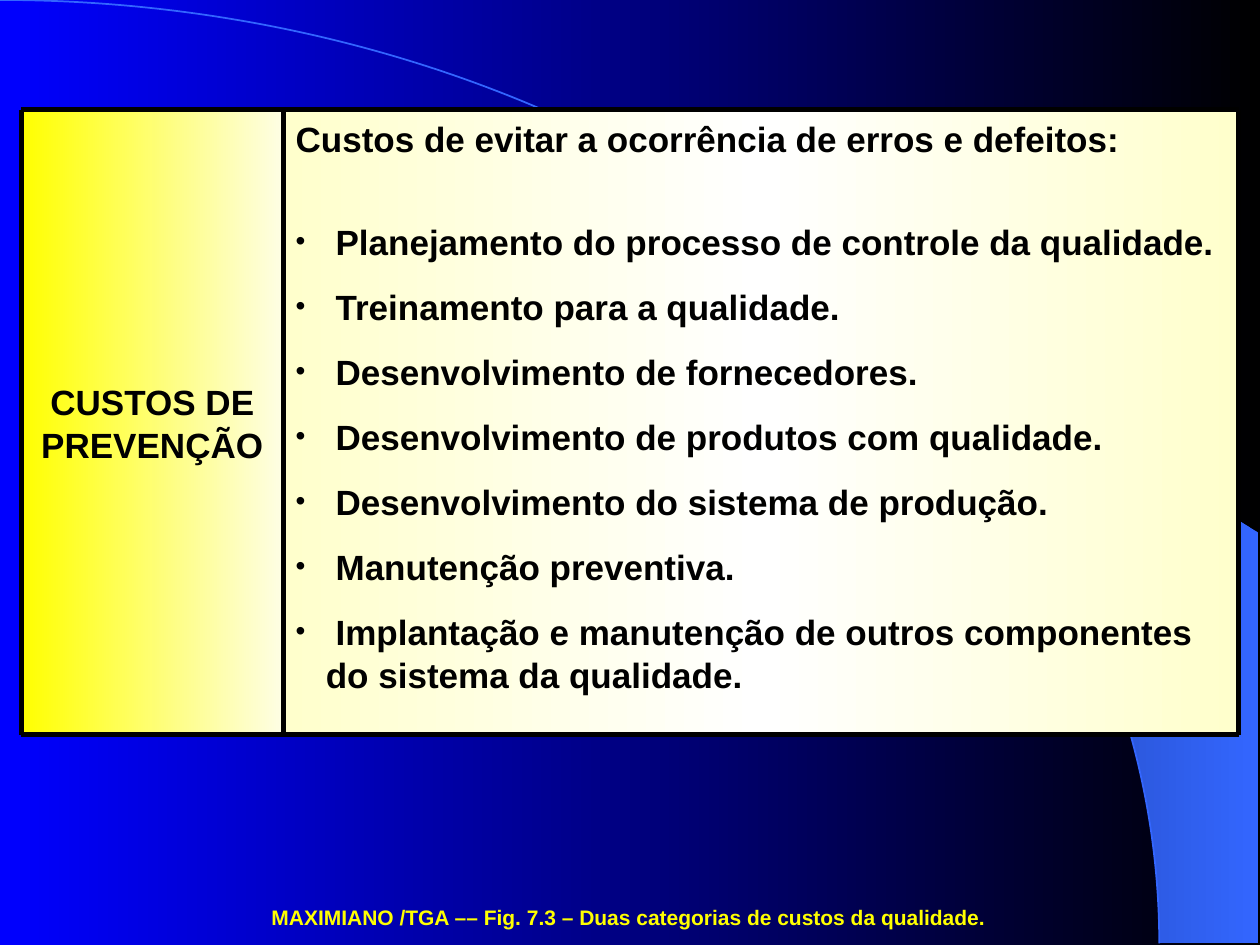
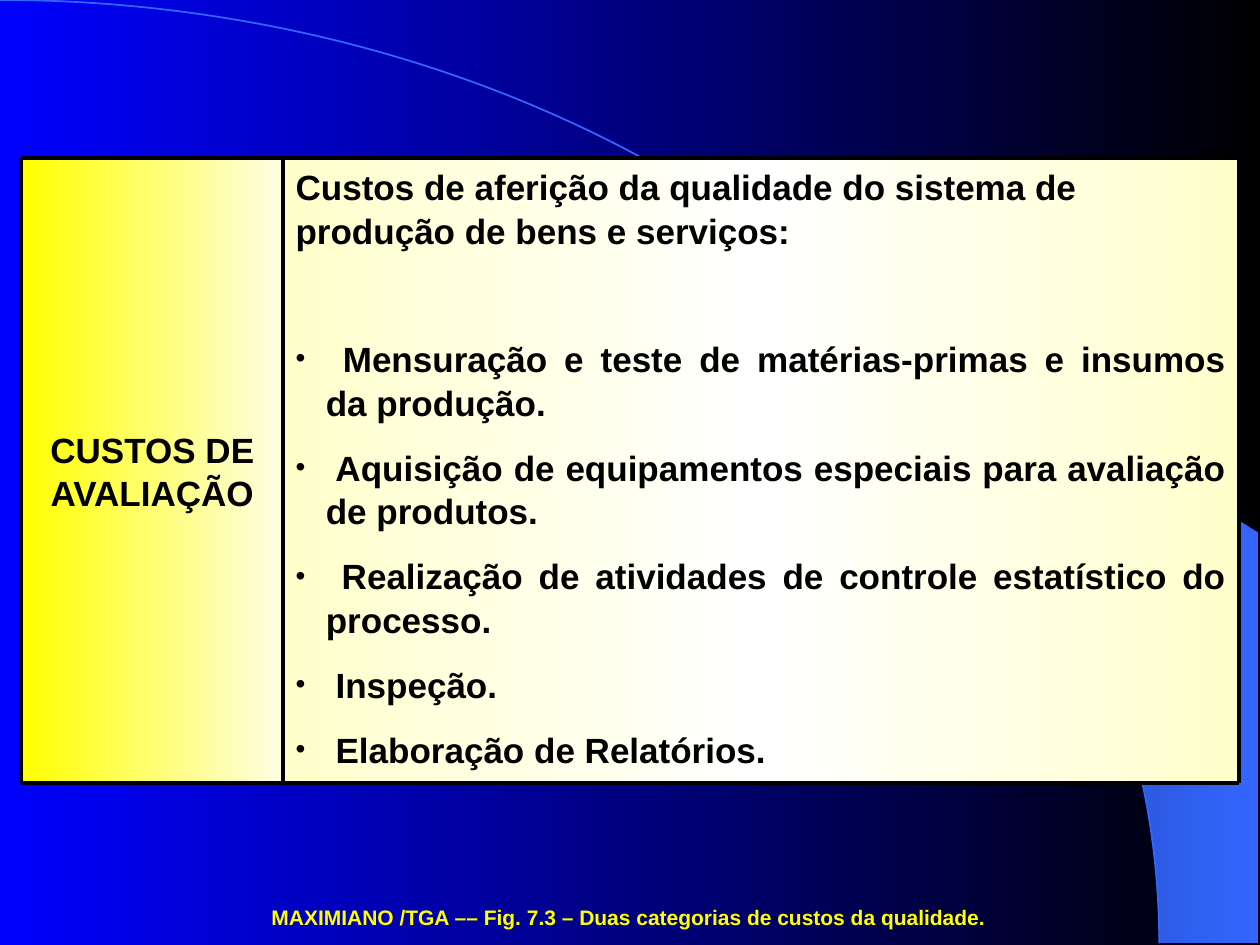
from copy import deepcopy
from math import asin, cos, pi, sin

from lxml.etree import SubElement as Sub
from pptx import Presentation
from pptx.dml.color import RGBColor
from pptx.enum.shapes import MSO_CONNECTOR as LINK, MSO_SHAPE as KIND
from pptx.enum.text import MSO_ANCHOR as ANCHOR, PP_ALIGN as ALIGN
from pptx.oxml.ns import qn
from pptx.util import Cm, Pt

WIDE, HIGH = 25.4, 19.05
LEFT, SPLIT, RIGHT, DEPTH = 0.43, 5.71, 24.97, 12.6
ARC_X, ARC_Y = 23.37, 19.02
BLACK, YELLOW, CREAM, BLUE = "000000", "FFFF00", "FFFFCC", "3366FF"
CAPTION = "MAXIMIANO /TGA –– Fig. 7.3 – Duas categorias de custos da qualidade."


def color(code):
    """Turn a hex string into a colour."""
    return RGBColor.from_string(code)


def blend(fill, *codes):
    """Fill with evenly spaced colours that run from right to left."""
    fill.gradient()
    fill.gradient_angle = 180
    first = fill.gradient_stops[0]._gs
    for _ in codes[2:]:
        first.addnext(deepcopy(first))
    for i, (stop, code) in enumerate(zip(fill.gradient_stops, codes)):
        stop.color.rgb = color(code)
        stop.position = i / (len(codes) - 1)


def bullet(para):
    """Give a paragraph a hanging black bullet."""
    props = para._p.get_or_add_pPr()
    props.set("marL", str(Cm(0.61)))
    props.set("indent", str(-Cm(0.61)))
    Sub(Sub(props, qn("a:buClr")), qn("a:srgbClr"), val=BLACK)
    Sub(props, qn("a:buSzPct"), val="80000")
    Sub(props, qn("a:buFont"), typeface="Arial")
    Sub(props, qn("a:buChar"), char="•")


def write(frame, text, size=20, code=BLACK, align=ALIGN.LEFT, before=0, dot=False):
    """Write one bold paragraph, the first of the frame or a further one."""
    para = frame.add_paragraph() if frame.text else frame.paragraphs[0]
    para.text = text
    para.alignment = align
    para.line_spacing = 1.04
    para.space_before = Pt(before)
    if dot:
        bullet(para)
    font = para.font
    font.name, font.size, font.bold = "Arial", Pt(size), True
    font.color.rgb = color(code)


def panel(slide, x, y, width, codes, anchor=ANCHOR.TOP):
    """Draw a blended panel and return its text frame."""
    box = slide.shapes.add_shape(KIND.RECTANGLE, Cm(x), Cm(y), Cm(width), Cm(DEPTH))
    box.shadow.inherit = False
    blend(box.fill, *codes)
    box.line.fill.background()
    frame = box.text_frame
    frame.word_wrap = True
    frame.vertical_anchor = anchor
    return frame


def rule(slide, x1, y1, x2, y2, weight):
    """Draw a straight black line."""
    line = slide.shapes.add_connector(LINK.STRAIGHT, Cm(x1), Cm(y1), Cm(x2), Cm(y2))
    line.line.color.rgb = color(BLACK)
    line.line.width = Pt(weight)
    Sub(line._element.spPr, qn("a:effectLst"))


def backdrop(slide):
    """Paint the background with its crescent and its arc."""
    blend(slide.background.fill, BLACK, "0000FF")
    start, steps = asin(0.64), 40
    turns = [start + (pi / 2 - start) * i / steps for i in range(steps + 1)]
    edge = [(Cm(ARC_X * sin(t)), Cm(ARC_Y * (1 - cos(t)))) for t in turns]
    path = slide.shapes.build_freeform(*edge[0])
    path.add_line_segments(edge[1:] + [(Cm(25.37), Cm(ARC_Y)), (Cm(25.37), Cm(10.74))])
    moon = path.convert_to_shape()
    moon.shadow.inherit = False
    blend(moon.fill, BLUE, "172F75")
    moon.line.fill.background()
    arc = slide.shapes.add_shape(KIND.ARC, Cm(-ARC_X), 0, Cm(2 * ARC_X), Cm(2 * ARC_Y))
    arc.shadow.inherit = False
    arc.fill.background()
    arc.line.color.rgb = color(BLUE)
    arc.line.width = Pt(1)


def footer(slide):
    """Write the figure caption at the foot."""
    box = slide.shapes.add_textbox(Cm(5.08), Cm(18.08), Cm(15.19), Cm(0.76))
    box.text_frame.word_wrap = True
    write(box.text_frame, CAPTION, size=12, code=YELLOW, align=ALIGN.CENTER)


def page(deck, name, lead, items, top, weight, gap, align=ALIGN.LEFT):
    """Add a slide with one cost category and its items."""
    slide = deck.slides.add_slide(deck.slide_layouts[6])
    backdrop(slide)
    body = panel(slide, SPLIT, top, RIGHT - SPLIT, (CREAM, "FFFFFF", CREAM))
    write(body, lead)
    for i, item in enumerate(items):
        write(body, " " + item, align=align, before=12.2 if i else gap, dot=True)
    label = panel(slide, LEFT, top, SPLIT - LEFT, ("FEFEE4", YELLOW), ANCHOR.MIDDLE)
    write(label, name, align=ALIGN.CENTER)
    for x in (LEFT, SPLIT, RIGHT):
        rule(slide, x, top, x, top + DEPTH, weight)
    for y in (top, top + DEPTH):
        rule(slide, LEFT, y, RIGHT, y, weight)
    footer(slide)


def main():
    """Build and save the deck."""
    deck = Presentation()
    deck.slide_width, deck.slide_height = Cm(WIDE), Cm(HIGH)
    page(deck, "CUSTOS DE PREVENÇÃO",
         "Custos de evitar a ocorrência de erros e defeitos:",
         ["Planejamento do processo de controle da qualidade.",
          "Treinamento para a qualidade.",
          "Desenvolvimento de fornecedores.",
          "Desenvolvimento de produtos com qualidade.",
          "Desenvolvimento do sistema de produção.",
          "Manutenção preventiva.",
          "Implantação e manutenção de outros componentes do sistema da qualidade."],
         top=2.21, weight=3, gap=33.9)
    page(deck, "CUSTOS DE AVALIAÇÃO",
         "Custos de aferição da qualidade do sistema de produção de bens e serviços:",
         ["Mensuração e teste de matérias-primas e insumos da produção.",
          "Aquisição de equipamentos especiais para avaliação de produtos.",
          "Realização de atividades de controle estatístico do processo.",
          "Inspeção.",
          "Elaboração de Relatórios."],
         top=3.18, weight=2.25, gap=48.3, align=ALIGN.JUSTIFY)
    deck.save("out.pptx")


if __name__ == "__main__":
    main()
